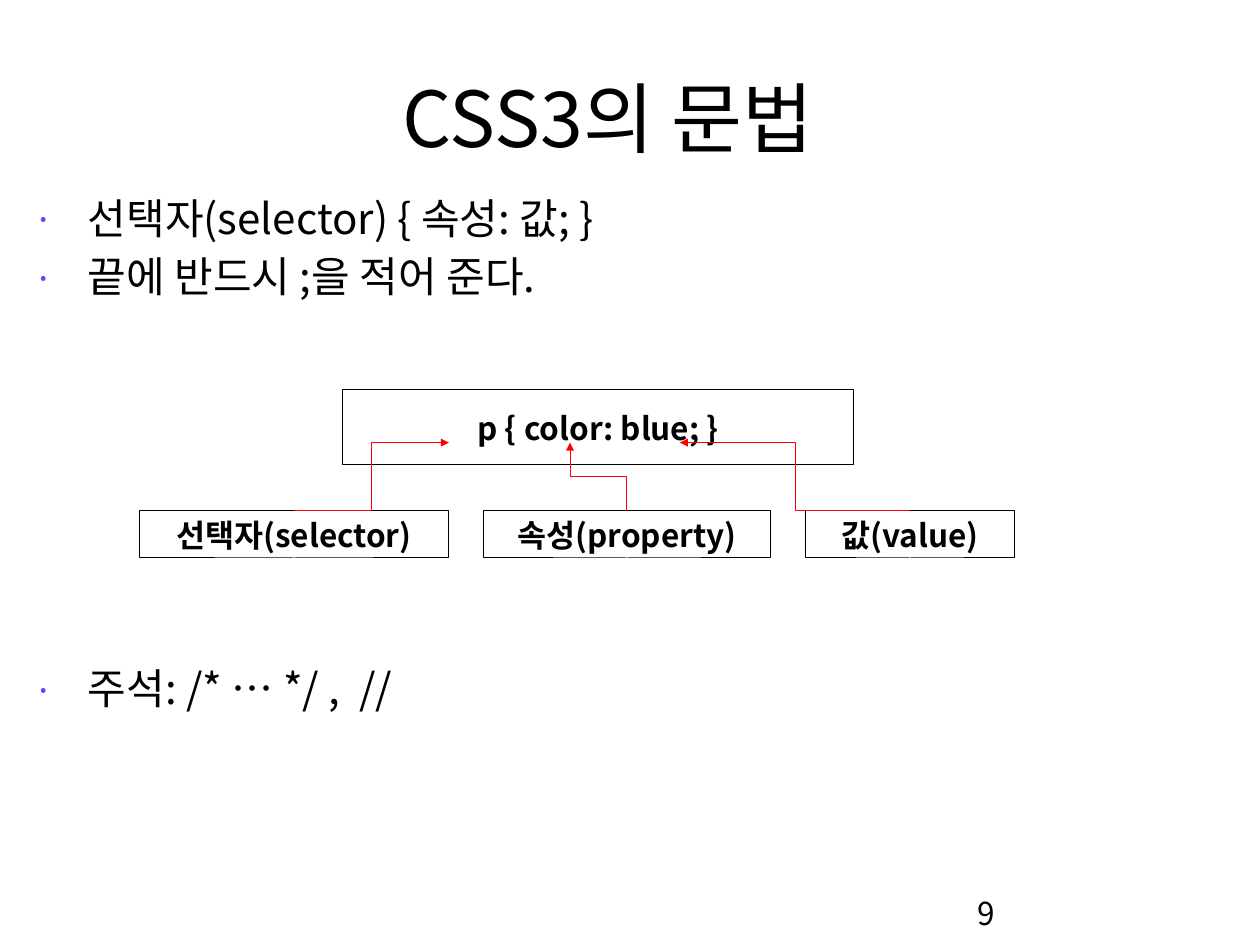
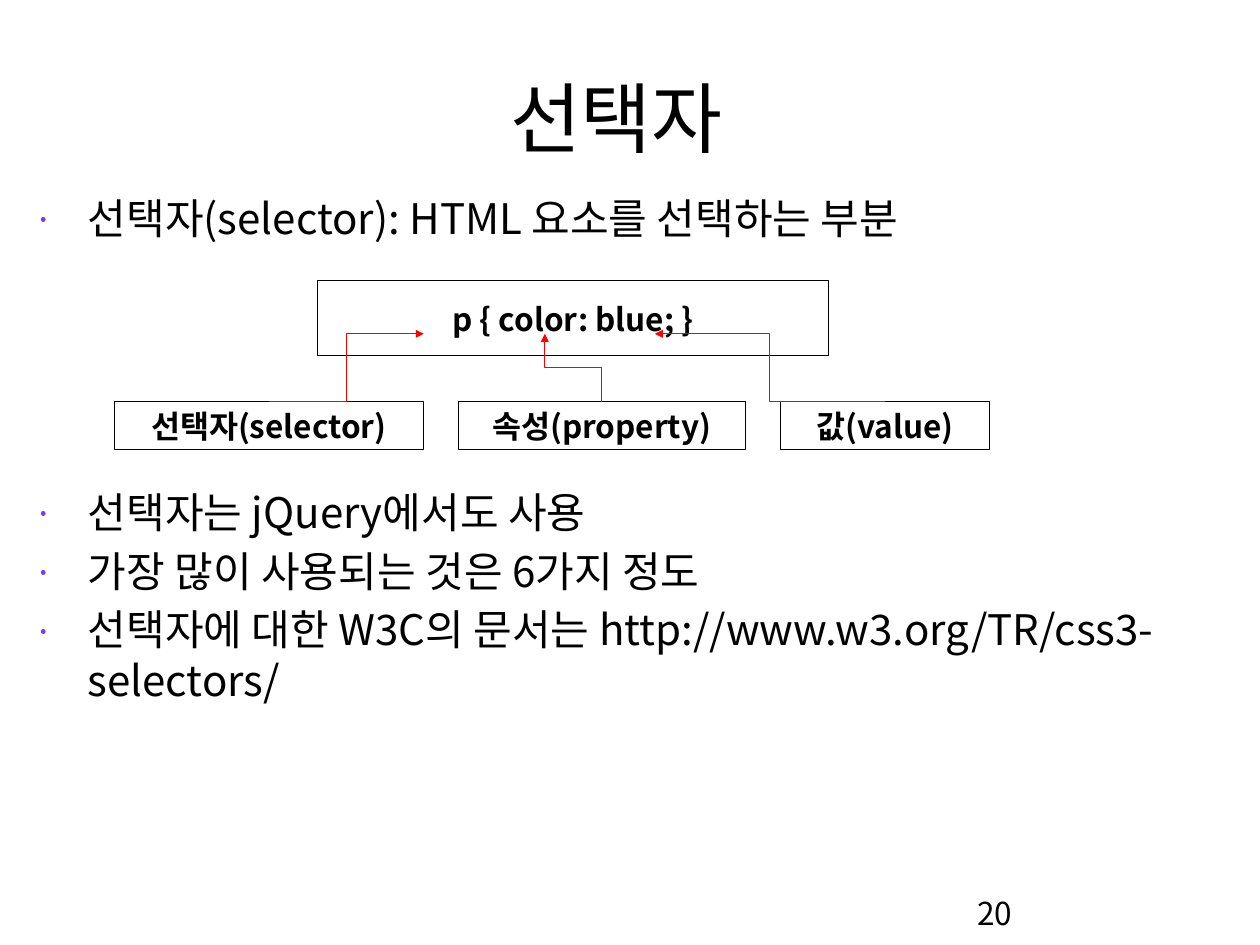
from lxml import etree
from pptx import Presentation
from pptx.dml.color import RGBColor
from pptx.enum.shapes import MSO_CONNECTOR, MSO_SHAPE
from pptx.enum.text import MSO_ANCHOR, MSO_AUTO_SIZE, PP_ALIGN
from pptx.oxml.ns import qn
from pptx.util import Cm, Pt

RECTANGLE = MSO_SHAPE.RECTANGLE
ELBOW = MSO_CONNECTOR.ELBOW
TOP, MIDDLE = MSO_ANCHOR.TOP, MSO_ANCHOR.MIDDLE
LEFT, CENTER = PP_ALIGN.LEFT, PP_ALIGN.CENTER
NO_AUTOFIT = MSO_AUTO_SIZE.NONE
TITLE_ONLY = 5

FONT = "Noto Sans CJK KR"
BLACK, WHITE, RED, VIOLET = "000000", "FFFFFF", "FF0000", "703DFF"

BODY_SIZE, BODY_LINE, BODY_GAP = 31.2, 37.5, 6.2
SMALL_SIZE, SMALL_LINE = 23.4, 29
BODY_TOP, BODY_ROW = 4.9, 1.54

CODE_WIDTH, CODE_HEIGHT = 13.39, 1.98
LABEL_SHIFT, LABEL_DROP = -5.32, 3.18
LABEL_HEIGHT, LABEL_GAP = 1.24, 0.91
TARGET_DROP = 1.4
# Label text, label width, arrow target measured from the left of the code box
LABELS = [
    ("선택자(selector)", 8.1, 2.79),
    ("속성(property)", 7.52, 5.96),
    ("값(value)", 5.49, 8.84),
]


def color(hex_string):
    return RGBColor.from_string(hex_string)


def add_element(parent, tag, **attributes):
    return etree.SubElement(parent, qn(tag), attributes)


def add_bullet(paragraph):
    properties = paragraph._p.get_or_add_pPr()
    indent = Cm(1.24)
    properties.set("marL", str(indent))
    properties.set("indent", str(-indent))
    bullet_color = add_element(properties, "a:buClr")
    add_element(bullet_color, "a:srgbClr", val=VIOLET)
    add_element(properties, "a:buSzPct", val="45000")
    add_element(properties, "a:buFont", typeface=FONT)
    add_element(properties, "a:buChar", char="•")


def write_text(frame, *lines, size, line_height, bold=False, align=LEFT,
               anchor=TOP, bullets=False, gap=0):
    """Write one paragraph per line, with an exact line height in points."""
    frame.word_wrap = True
    frame.auto_size = NO_AUTOFIT
    frame.vertical_anchor = anchor
    for index, line in enumerate(lines):
        paragraph = frame.add_paragraph() if index else frame.paragraphs[0]
        if bullets:
            add_bullet(paragraph)
        paragraph.alignment = align
        paragraph.line_spacing = Pt(line_height)
        paragraph.space_before = Pt(gap if index else 0)
        run = paragraph.add_run()
        run.text = line
        run.font.size = Pt(size)
        run.font.bold = bold
        run.font.color.rgb = color(BLACK)
        run.font.name = FONT
        add_element(run._r.get_or_add_rPr(), "a:ea", typeface=FONT)


class Deck:
    def __init__(self):
        self.presentation = Presentation()
        self.presentation.slide_width = Cm(33)
        self.presentation.slide_height = Cm(24.74)
        self.slide = None

    def add_slide(self, title, number):
        layout = self.presentation.slide_layouts[TITLE_ONLY]
        self.slide = self.presentation.slides.add_slide(layout)
        background = self.slide.background.fill
        background.solid()
        background.fore_color.rgb = color(WHITE)
        shape = self.slide.shapes.title
        shape.left, shape.top = Cm(2.67), Cm(1.55)
        shape.width, shape.height = Cm(26.95), Cm(2.74)
        write_text(shape.text_frame, title, size=57.2, line_height=76,
                   align=CENTER, anchor=MIDDLE)
        self.add_text(25.35, 23.24, 6.81, 1.52, str(number),
                      size=SMALL_SIZE, line_height=SMALL_LINE)

    def add_text(self, left, top, width, height, *lines, **text_format):
        shape = self.slide.shapes.add_textbox(
            Cm(left), Cm(top), Cm(width), Cm(height))
        write_text(shape.text_frame, *lines, **text_format)

    def add_bullets(self, row, *lines):
        """Start a bullet list at the given row of the body's line grid."""
        self.add_text(0.81, BODY_TOP + row * BODY_ROW, 31.29,
                      BODY_ROW * len(lines), *lines, size=BODY_SIZE,
                      line_height=BODY_LINE, gap=BODY_GAP, bullets=True)

    def add_box(self, left, top, width, height, text):
        shape = self.slide.shapes.add_shape(
            RECTANGLE, Cm(left), Cm(top), Cm(width), Cm(height))
        shape.shadow.inherit = False
        shape.fill.background()
        shape.line.color.rgb = color(BLACK)
        shape.line.width = Pt(0.75)
        write_text(shape.text_frame, text, size=SMALL_SIZE,
                   line_height=SMALL_LINE, bold=True, align=CENTER,
                   anchor=MIDDLE)

    def add_arrow(self, start, end, upright=False):
        """Draw an elbow arrow; an upright one leaves its start vertically."""
        (x1, y1), (x2, y2) = start, end
        if upright:
            # Lay the frame on its side about its centre, then turn it back
            center_x, center_y = (x1 + x2) / 2, (y1 + y2) / 2
            half_x, half_y = (x1 - x2) / 2, (y1 - y2) / 2
            x1, y1 = center_x - half_y, center_y + half_x
            x2, y2 = center_x + half_y, center_y - half_x
        connector = self.slide.shapes.add_connector(
            ELBOW, Cm(x1), Cm(y1), Cm(x2), Cm(y2))
        connector.line.color.rgb = color(RED)
        connector.line.width = Pt(0.75)
        properties = connector._element.spPr
        add_element(connector.line._get_or_add_ln(), "a:tailEnd",
                    type="triangle")
        add_element(properties, "a:effectLst")
        if upright:
            properties.find(qn("a:xfrm")).set("rot", str(270 * 60000))

    def add_rule_diagram(self, left, top):
        """Draw the CSS rule with an arrow from each label to its part."""
        self.add_box(left, top, CODE_WIDTH, CODE_HEIGHT, "p { color: blue; }")
        label_left, label_top = left + LABEL_SHIFT, top + LABEL_DROP
        arrows = []
        for index, (text, width, target) in enumerate(LABELS):
            self.add_box(label_left, label_top, width, LABEL_HEIGHT, text)
            start = (label_left + width / 2, label_top)
            end = (left + target, top + TARGET_DROP)
            arrows.append((start, end, index == 1))
            label_left += width + LABEL_GAP
        for start, end, upright in arrows:
            self.add_arrow(start, end, upright)


def main():
    deck = Deck()

    deck.add_slide("CSS3의 문법 ", 9)
    deck.add_bullets(0, "선택자(selector) { 속성: 값; }",
                     "끝에 반드시 ;을 적어 준다.")
    deck.add_rule_diagram(8.97, 10.19)
    deck.add_bullets(8, "주석: /* … */ ,  //")

    deck.add_slide("선택자", 20)
    deck.add_bullets(0, "선택자(selector): HTML 요소를 선택하는 부분")
    deck.add_rule_diagram(8.31, 7.34)
    deck.add_bullets(
        5,
        "선택자는 jQuery에서도 사용",
        "가장 많이 사용되는 것은 6가지 정도",
        "선택자에 대한 W3C의 문서는 http://www.w3.org/TR/css3-selectors/",
    )

    deck.presentation.save("out.pptx")


if __name__ == "__main__":
    main()
